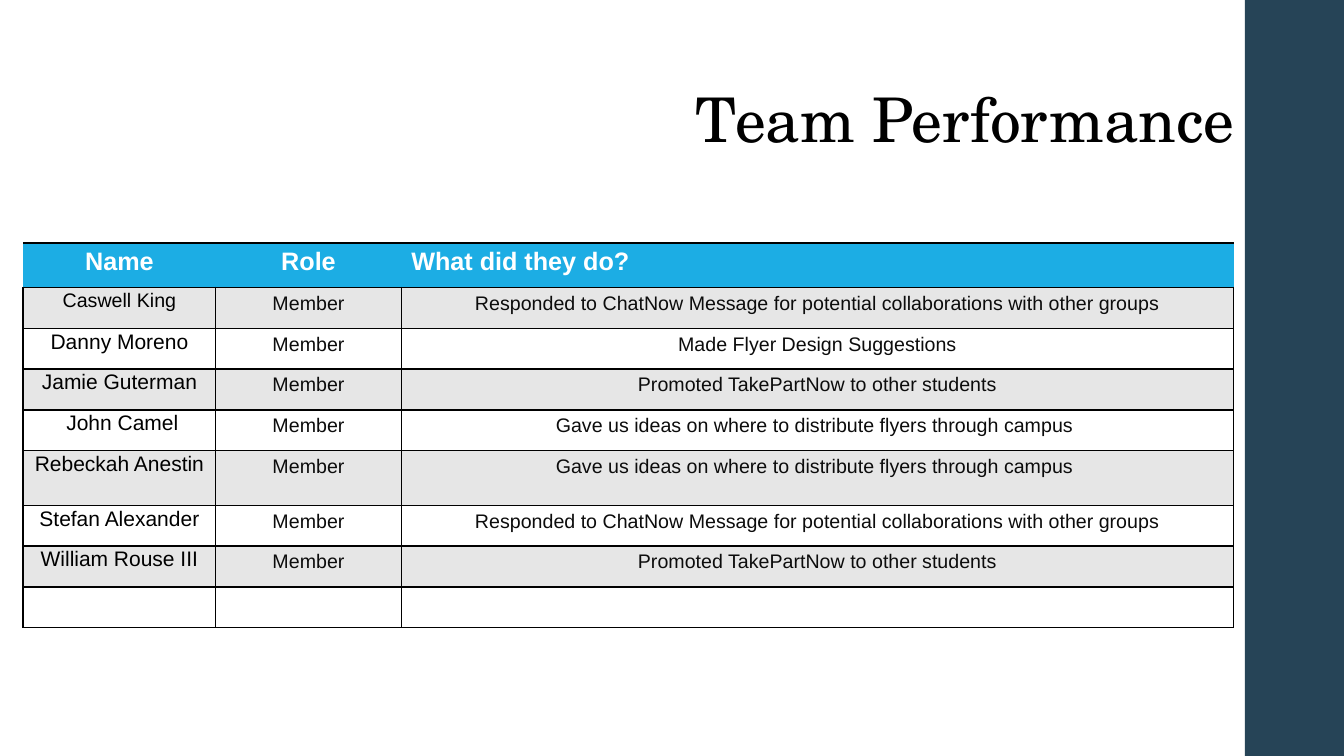
from lxml.etree import SubElement
from pptx import Presentation
from pptx.dml.color import RGBColor
from pptx.enum.shapes import MSO_SHAPE
from pptx.enum.text import MSO_ANCHOR, PP_ALIGN
from pptx.oxml.ns import qn
from pptx.util import Cm, Pt

NAVY = RGBColor(0x26, 0x44, 0x57)
BLUE = RGBColor(0x1C, 0xAD, 0xE4)
GRAY = RGBColor(0xE6, 0xE6, 0xE6)
WHITE = RGBColor(0xFF, 0xFF, 0xFF)
BLACK = RGBColor(0, 0, 0)
NEAR_BLACK = RGBColor(0x0C, 0x0C, 0x0C)

SLIDE_WIDTH, SLIDE_HEIGHT = Cm(33.87), Cm(19.05)
BAR_LEFT = Cm(31.37)
COLUMN_WIDTHS = (Cm(4.86), Cm(4.67), Cm(20.98))
HEADER_HEIGHT, ROW_HEIGHT, TALL_ROW_HEIGHT = Cm(1.12), Cm(1.03), Cm(1.37)
TALL_ROW = 5

HEADINGS = ("Name", "Role", "What did they do?")
RESPONDED = "Responded to ChatNow Message for potential collaborations with other groups"
PROMOTED = "Promoted TakePartNow to other students"
GAVE_IDEAS = "Gave us ideas on where to distribute flyers through campus "
MEMBERS = (
    ("Caswell King", "Member", RESPONDED),
    ("Danny Moreno", "Member", "Made Flyer Design Suggestions"),
    ("Jamie Guterman", "Member", PROMOTED),
    (" John Camel", "Member", GAVE_IDEAS),
    ("Rebeckah Anestin", "Member", GAVE_IDEAS),
    ("Stefan Alexander", "Member", RESPONDED),
    ("William Rouse III", "Member", PROMOTED),
    ("", "", ""),
)


def format_text(paragraph, name, size, color, bold=False):
    """Set the font of a paragraph and its runs."""
    for font in [paragraph.font] + [run.font for run in paragraph.runs]:
        font.name = name
        font.size = Pt(size)
        font.bold = bold
        font.color.rgb = color


def set_borders(cell, left, right, top, bottom):
    """Draw black cell borders of the given point widths, none for zero."""
    properties = cell._tc.get_or_add_tcPr()
    for side, width in zip("LRTB", (left, right, top, bottom)):
        line = SubElement(properties, qn(f"a:ln{side}"), w=str(Pt(width)))
        if width:
            fill = SubElement(line, qn("a:solidFill"))
            SubElement(fill, qn("a:srgbClr"), val=str(BLACK))
        else:
            SubElement(line, qn("a:noFill"))


def fill_cell(cell, color):
    """Give a cell a solid fill."""
    cell.fill.solid()
    cell.fill.fore_color.rgb = color


def add_side_bar(slide, left, top, width, height):
    """Add the dark bar at the slide's edge."""
    bar = slide.shapes.add_shape(MSO_SHAPE.RECTANGLE, left, top, width, height)
    bar.shadow.inherit = False
    bar.fill.solid()
    bar.fill.fore_color.rgb = NAVY
    bar.line.fill.background()


def add_title(slide, left, top, width, height):
    """Add the right-aligned title at the bottom of its box."""
    text_frame = slide.shapes.add_textbox(left, top, width, height).text_frame
    text_frame.word_wrap = True
    text_frame.vertical_anchor = MSO_ANCHOR.BOTTOM
    text_frame.text = "Team Performance"
    paragraph = text_frame.paragraphs[0]
    paragraph.alignment = PP_ALIGN.RIGHT
    paragraph.line_spacing = 0.9
    format_text(paragraph, "TeX Gyre Schola", 44, BLACK)


def add_header_cell(cell, heading, column):
    """Write one heading of the table."""
    set_borders(cell, 0, 0, 2, 1)
    fill_cell(cell, BLUE)
    cell.text_frame.text = heading
    paragraph = cell.text_frame.paragraphs[0]
    paragraph.alignment = PP_ALIGN.LEFT if column == 2 else PP_ALIGN.CENTER
    format_text(paragraph, "Arial", 18, WHITE, bold=True)


def add_member_cell(cell, text, row, column):
    """Write one cell about a member."""
    set_borders(cell, 1, 1, 1, 1)
    fill_cell(cell, GRAY if row % 2 else WHITE)
    cell.text_frame.text = text
    paragraph = cell.text_frame.paragraphs[0]
    paragraph.alignment = PP_ALIGN.CENTER
    if column == 0:
        paragraph.line_spacing = 0.85
        format_text(paragraph, "Arial", 14 if row == 1 else 15, BLACK)
    else:
        format_text(paragraph, "Arial", 14, NEAR_BLACK)


def add_member_table(slide, left, top):
    """Add the table of members with its top left corner at the given point."""
    heights = [HEADER_HEIGHT] + [ROW_HEIGHT] * len(MEMBERS)
    heights[TALL_ROW] = TALL_ROW_HEIGHT
    table = slide.shapes.add_table(
        len(heights), len(COLUMN_WIDTHS), left, top, sum(COLUMN_WIDTHS), sum(heights)
    ).table
    for column, width in zip(table.columns, COLUMN_WIDTHS):
        column.width = width
    for row, height in zip(table.rows, heights):
        row.height = height
    for column, heading in enumerate(HEADINGS):
        add_header_cell(table.cell(0, column), heading, column)
    for row, member in enumerate(MEMBERS, start=1):
        for column, text in enumerate(member):
            add_member_cell(table.cell(row, column), text, row, column)


def main():
    """Build the slide and save it."""
    presentation = Presentation()
    presentation.slide_width = SLIDE_WIDTH
    presentation.slide_height = SLIDE_HEIGHT
    slide = presentation.slides.add_slide(presentation.slide_layouts[6])
    add_side_bar(slide, BAR_LEFT, 0, SLIDE_WIDTH - BAR_LEFT, SLIDE_HEIGHT)
    add_title(slide, Cm(3.25), 0, BAR_LEFT - Cm(3.25), Cm(4.04))
    add_member_table(slide, Cm(0.58), Cm(6.12))
    presentation.save("out.pptx")


if __name__ == "__main__":
    main()
